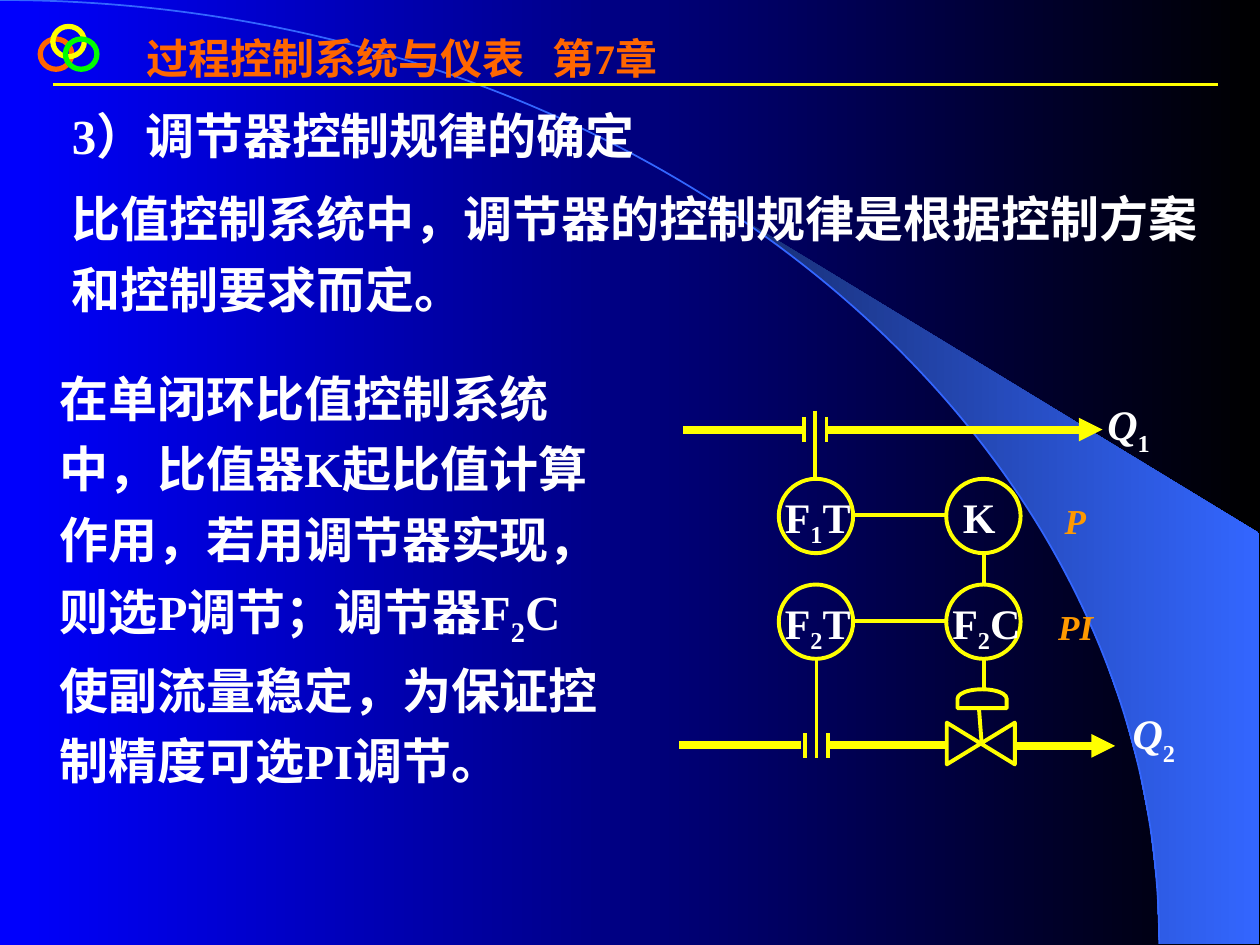
from math import asin, cos, pi, sin

from lxml.etree import SubElement
from pptx import Presentation
from pptx.dml.color import RGBColor
from pptx.enum.shapes import MSO_CONNECTOR as Connector, MSO_SHAPE as Shape
from pptx.enum.text import MSO_ANCHOR as Anchor, MSO_AUTO_SIZE as AutoSize, PP_ALIGN as Align
from pptx.oxml.ns import qn
from pptx.util import Pt

COLORS = {
    "blue": "0000FF", "black": "000000", "navy": "182F76", "sky": "3366FF",
    "yellow": "FFFF00", "orange": "FF6600", "green": "00FF00",
    "amber": "FF9900", "white": "FFFFFF",
}
FONT = "Times New Roman"
WIDTH, HEIGHT = 720, 540
ARC_WIDTH, ARC_HEIGHT = 662.4, 539.3
ARC_PULL = 0.55
WEDGE_START, WEDGE_RIGHT, WEDGE_TOP = 424, 719.3, 304.6

TITLE = "过程控制系统与仪表\t第7章"
TITLE_TAB = 232
INTRO = [
    [("3）调节器控制规律的确定", 0)],
    [("比值控制系统中，调节器的控制规律是根据控制方案和控制要求而定。", 0)],
]
DETAIL = [[
    ("在单闭环比值控制系统中，比值器K起比值计算作用，若用调节器实现，则选P调节；调节器F", 0),
    ("2", -25),
    ("C使副流量稳定，为保证控制精度可选PI调节。", 0),
]]
RINGS = [(23, 22.3, "orange"), (30.2, 15.1, "yellow"), (37.4, 22.3, "green")]

COLUMNS, ROWS, DIAMETER = (445, 540.7), (273.6, 334), 42.5
INSTRUMENTS = [
    (0, 0, [("F", 0), ("1", -25), ("T", 0)], 0),
    (1, 0, [("K", 0)], 6),
    (0, 1, [("F", 0), ("2", -25), ("T", 0)], 0),
    (1, 1, [("F", 0), ("2", -25), ("C", 0)], 0),
]
FLOWS = [("1", 625.7, 223.9), ("2", 640.1, 401)]
MODES = [("P", 601.2, 277.2), ("PI", 597.6, 337.7)]
PIPES = [
    (390.2, 245.5, 460.1, 245.5, False),
    (473, 245.5, 630, 245.5, True),
    (388.1, 425.5, 457.9, 425.5, False),
    (473, 425.5, 540.7, 425.5, False),
    (579.6, 426.2, 637.2, 426.2, True),
]
SIGNALS = [
    (459.4, 238.3, 459.4, 252.7), (472.3, 238.3, 472.3, 252.7),
    (465.8, 234.7, 465.8, 273.6),
    (460.1, 419, 460.1, 433.4), (473, 419, 473, 433.4),
    (466.6, 376.6, 466.6, 433.4),
    (487.4, 294.5, 540.7, 294.5), (487.4, 355, 540.7, 355),
    (562.3, 316.1, 562.3, 334), (562.3, 376.6, 562.3, 393.8),
    (560.9, 424.1, 559.4, 404.6),
]
VALVE = [
    (Shape.FLOWCHART_COLLATE, 548.6, 405.4, 23.8, 38.9),
    (Shape.FLOWCHART_DELAY, 555.8, 385.2, 10.8, 28.1),
]


def rgb(color):
    return RGBColor.from_string(COLORS[color])


def shade(fill, start, end):
    fill.gradient()
    fill.gradient_angle = 0
    for stop, color in zip(fill.gradient_stops, (start, end)):
        stop.color.rgb = rgb(color)


def arc(first, last=pi / 2, steps=14):
    angles = [first + (last - first) * i / steps for i in range(steps + 1)]
    return [(ARC_WIDTH * sin(a), ARC_HEIGHT * (1 - cos(a))) for a in angles]


def add_outline(slide, points, close):
    points = [(Pt(x), Pt(y)) for x, y in points]
    builder = slide.shapes.build_freeform(*points[0])
    builder.add_line_segments(points[1:], close=close)
    outline = builder.convert_to_shape()
    outline.shadow.inherit = False
    return outline


def bend(outline, controls):
    straight = next(outline._element.iter(qn("a:lnTo")))
    straight.tag = qn("a:cubicBezTo")
    for i, (x, y) in enumerate(controls):
        control = straight.makeelement(qn("a:pt"), {"x": str(Pt(x)), "y": str(Pt(y))})
        straight.insert(i, control)


def add_symbol(slide, kind, left, top, width, height, color="yellow", weight=2.25):
    symbol = slide.shapes.add_shape(kind, Pt(left), Pt(top), Pt(width), Pt(height))
    symbol.shadow.inherit = False
    symbol.fill.background()
    symbol.line.color.rgb = rgb(color)
    symbol.line.width = Pt(weight)
    return symbol


def add_line(slide, x1, y1, x2, y2, weight=2.25, arrow=False):
    line = slide.shapes.add_connector(Connector.STRAIGHT, Pt(x1), Pt(y1), Pt(x2), Pt(y2))
    line.line.color.rgb = rgb("yellow")
    line.line.width = Pt(weight)
    if arrow:
        SubElement(line.line._get_or_add_ln(), qn("a:tailEnd"), type="triangle")
    SubElement(line._element.spPr, qn("a:effectLst"))


def style(font, size, color, italic=False):
    font.name, font.size = FONT, Pt(size)
    font.bold, font.italic = True, italic
    font.color.rgb = rgb(color)


def add_text(slide, left, top, width, height, paragraphs, size=24, color="white",
             italic=False, spacing=None, before=0, anchor=Anchor.TOP):
    label = slide.shapes.add_textbox(Pt(left), Pt(top), Pt(width), Pt(height))
    frame = label.text_frame
    frame.word_wrap = True
    frame.vertical_anchor = anchor
    for i, parts in enumerate(paragraphs):
        paragraph = frame.add_paragraph() if i else frame.paragraphs[0]
        paragraph.line_spacing = spacing
        paragraph.space_before = Pt(before if i else 0)
        paragraph._p.get_or_add_pPr().set("hangingPunct", "0")
        for text, baseline in parts:
            run = paragraph.add_run()
            run.text = text
            style(run.font, size, color, italic and not baseline)
            if baseline:
                run._r.get_or_add_rPr().set("baseline", str(baseline * 1000))


def add_backdrop(slide):
    shade(slide.background.fill, "blue", "black")
    corners = [(WEDGE_RIGHT, ARC_HEIGHT), (WEDGE_RIGHT, WEDGE_TOP)]
    wedge = add_outline(slide, arc(asin(WEDGE_START / ARC_WIDTH)) + corners, True)
    shade(wedge.fill, "navy", "sky")
    wedge.line.fill.background()
    rim = add_outline(slide, [(0, 0), (ARC_WIDTH, ARC_HEIGHT)], False)
    bend(rim, [(ARC_WIDTH * ARC_PULL, 0), (ARC_WIDTH, ARC_HEIGHT * (1 - ARC_PULL))])
    rim.fill.background()
    rim.line.color.rgb = rgb("sky")
    rim.line.width = Pt(1)


def add_header(slide):
    add_line(slide, 30.2, 48.2, 696.2, 48.2, 1.5)
    for left, top, color in RINGS:
        add_symbol(slide, Shape.OVAL, left, top, 18, 17.3, color, 3)
    title = slide.shapes.title
    slide.shapes._spTree.append(title._element)
    title.left, title.top, title.width, title.height = Pt(76.3), Pt(15.1), Pt(323.3), Pt(64.8)
    frame = title.text_frame
    frame.text = TITLE
    frame.word_wrap = True
    frame.auto_size = AutoSize.NONE
    frame.vertical_anchor = Anchor.TOP
    paragraph = frame.paragraphs[0]
    paragraph.alignment = Align.LEFT
    paragraph.space_before = Pt(0)
    tabs = SubElement(paragraph._p.get_or_add_pPr(), qn("a:tabLst"))
    SubElement(tabs, qn("a:tab"), pos=str(Pt(TITLE_TAB)), algn="l")
    for run in paragraph.runs:
        style(run.font, 24, "orange")


def add_diagram(slide):
    for *ends, arrow in PIPES:
        add_line(slide, *ends, 4.5, arrow)
    for ends in SIGNALS:
        add_line(slide, *ends)
    for part in VALVE:
        add_symbol(slide, *part).rotation = 270
    for column, row, tag, indent in INSTRUMENTS:
        left, top = COLUMNS[column], ROWS[row]
        add_symbol(slide, Shape.OVAL, left, top, DIAMETER, DIAMETER)
        add_text(slide, left - 3.6 + indent, top + 3.6, 57.6, 32.4, [tag])
    for number, left, top in FLOWS:
        add_text(slide, left, top, 50, 42.5, [[("Q", 0), (number, -30)]], italic=True)
    for mode, left, top in MODES:
        add_text(slide, left, top, 35.3, 36, [[(mode, 0)]], 20, "amber", True, 1.2)


def main():
    """Build the slide on controller selection for ratio control."""
    deck = Presentation()
    deck.slide_width, deck.slide_height = Pt(WIDTH), Pt(HEIGHT)
    slide = deck.slides.add_slide(deck.slide_layouts[5])
    add_backdrop(slide)
    add_header(slide)
    body = {"size": 28, "spacing": 1.2, "before": 7, "anchor": Anchor.MIDDLE}
    add_text(slide, 34, 50, 658.8, 135.4, INTRO, **body)
    add_diagram(slide)
    add_text(slide, 27, 200, 326.2, 254.9, DETAIL, **body)
    deck.save("out.pptx")


if __name__ == "__main__":
    main()
